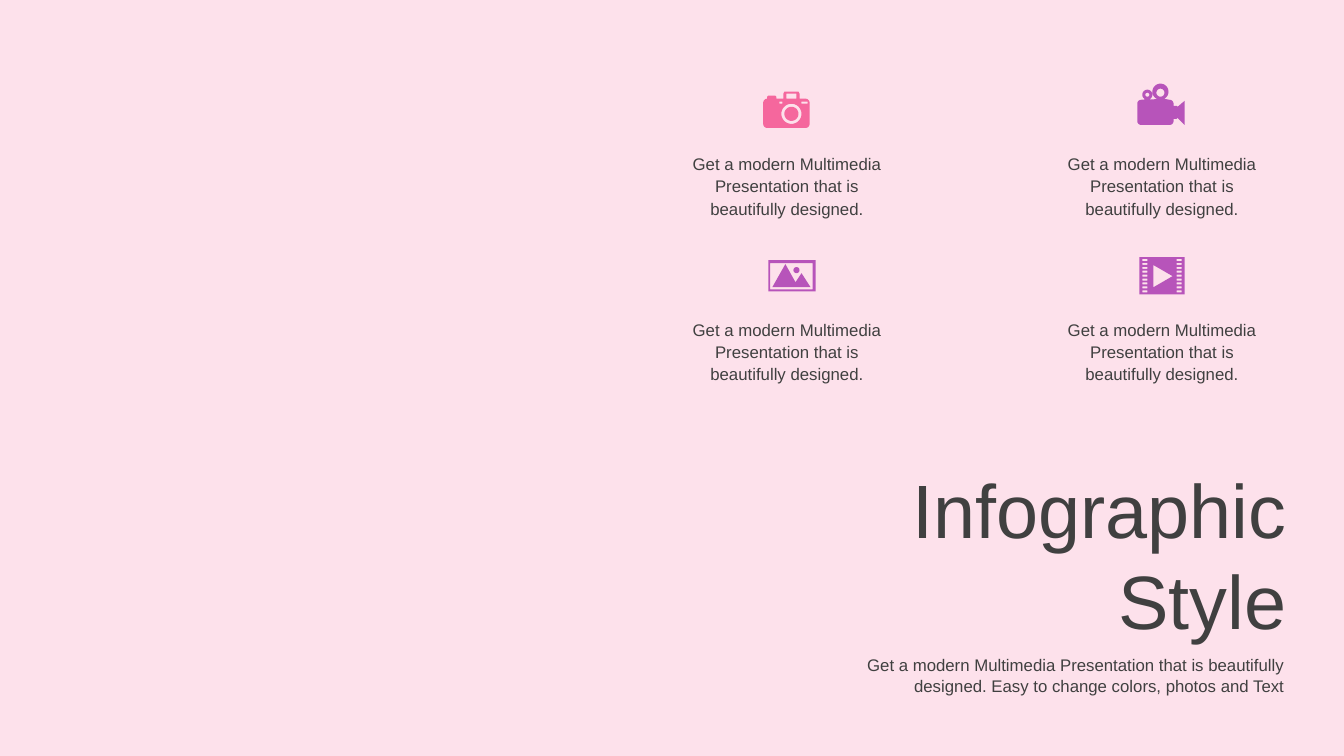
from dataclasses import dataclass
from math import cos, radians, sin

from pptx import Presentation
from pptx.dml.color import RGBColor
from pptx.enum.text import MSO_ANCHOR, MSO_AUTO_SIZE, PP_ALIGN
from pptx.slide import Slide
from pptx.util import Inches, Pt


@dataclass(frozen=True)
class Theme:
    font: str = "Arial"
    paper: str = "FDE1EB"
    ink: str = "404040"
    pink: str = "F5679D"
    purple: str = "B754BA"
    title: int = 54
    body: int = 12


@dataclass
class Painter:
    slide: Slide
    theme: Theme

    def paint(self):
        fill = self.slide.background.fill
        fill.solid()
        fill.fore_color.rgb = RGBColor.from_string(self.theme.paper)

    def text(self, place, words, size, align, anchor=MSO_ANCHOR.TOP, pitch=None):
        frame = self.slide.shapes.add_textbox(*map(Inches, place)).text_frame
        frame.word_wrap = True
        frame.auto_size = MSO_AUTO_SIZE.SHAPE_TO_FIT_TEXT
        frame.vertical_anchor = anchor
        frame.text = words
        for para in frame.paragraphs:
            para.alignment = align
            if pitch:
                para.line_spacing = pitch
            for run in para.runs:
                run.font.name = self.theme.font
                run.font.size = Pt(size)
                run.font.color.rgb = RGBColor.from_string(self.theme.ink)

    def icon(self, rings, color):
        rings = [[(Inches(x), Inches(y)) for x, y in ring] for ring in rings]
        pen = self.slide.shapes.build_freeform(*rings[0][0])
        pen.add_line_segments(rings[0][1:])
        for ring in rings[1:]:
            pen.move_to(*ring[0])
            pen.add_line_segments(ring[1:])
        shape = pen.convert_to_shape()
        shape.shadow.inherit = False
        shape.fill.solid()
        shape.fill.fore_color.rgb = RGBColor.from_string(color)
        shape.line.fill.background()


def arc(x, y, radius, start, end):
    count = max(6, (end - start) // 10)
    turns = [radians(start + (end - start) * i / count) for i in range(count + 1)]
    return [(x + radius * cos(turn), y + radius * sin(turn)) for turn in turns]


def disc(x, y, radius):
    return arc(x, y, radius, 0, 360)


def box(left, top, right, bottom):
    return [(left, top), (right, top), (right, bottom), (left, bottom), (left, top)]


def film():
    holes = [box(x, y, x + 0.05, y + 0.02)
             for x in (11.33, 11.67)
             for y in (2.57 + 0.31 * i / 8 for i in range(9))]
    play = [(11.44, 2.63), (11.44, 2.85), (11.63, 2.74), (11.44, 2.63)]
    return [box(11.3, 2.55, 11.75, 2.92), play, *holes]


def camera():
    case = [
        *arc(7.61, 1.02, 0.04, 180, 270),
        (7.61, 0.96), (7.62, 0.95), (7.69, 0.95), (7.7, 0.96), (7.7, 0.98),
        (7.77, 0.98), (7.77, 0.93), (7.78, 0.91), (7.92, 0.91), (7.93, 0.93),
        (7.93, 0.98),
        *arc(7.99, 1.02, 0.04, 270, 360),
        *arc(7.99, 1.23, 0.04, 0, 90),
        *arc(7.61, 1.23, 0.04, 90, 180),
        (7.57, 1.02),
    ]
    return [case, disc(7.85, 1.13, 0.1), disc(7.85, 1.13, 0.07),
            box(7.73, 1.01, 7.76, 1.03), box(7.95, 1.01, 8.01, 1.03),
            box(7.8, 0.93, 7.9, 0.98)]


def movie():
    case = [
        *arc(11.32, 1.03, 0.04, 180, 270),
        *arc(11.38, 0.94, 0.05, 112, 428),
        *arc(11.51, 0.91, 0.08, 112, 422),
        *arc(11.6, 1.03, 0.04, 270, 360),
        (11.64, 1.05), (11.67, 1.05), (11.68, 1.06), (11.75, 1), (11.75, 1.24),
        (11.68, 1.17), (11.67, 1.18), (11.64, 1.18),
        *arc(11.6, 1.2, 0.04, 0, 90),
        *arc(11.32, 1.2, 0.04, 90, 180),
        (11.28, 1.03),
    ]
    return [case, disc(11.38, 0.94, 0.02), disc(11.51, 0.92, 0.04)]


def photo():
    peaks = [(7.79, 2.62), (7.89, 2.8), (7.95, 2.71), (8.04, 2.85), (7.66, 2.85),
             (7.79, 2.62)]
    return [box(7.62, 2.58, 8.09, 2.89), box(7.64, 2.61, 8.06, 2.87), peaks,
            disc(7.9, 2.68, 0.03)]


def main():
    deck = Presentation()
    deck.slide_width, deck.slide_height = Inches(13.33), Inches(7.5)
    theme = Theme()
    page = Painter(deck.slides.add_slide(deck.slide_layouts[6]), theme)
    page.paint()
    page.text((7.56, 4.53, 5.3, 1.92), "Infographic\nStyle", theme.title,
              PP_ALIGN.RIGHT, MSO_ANCHOR.MIDDLE)
    lead = "Get a modern Multimedia Presentation that is beautifully designed."
    page.text((8.21, 6.45, 4.63, 0.5),
              lead + " Easy to change colors, photos and Text",
              theme.body, PP_ALIGN.RIGHT)
    for top in (1.46, 3.1):
        for left in (6.65, 10.37):
            page.text((left, top, 2.31, 0.77), lead, theme.body,
                      PP_ALIGN.CENTER, pitch=1.1)
    page.icon(film(), theme.purple)
    page.icon(camera(), theme.pink)
    page.icon(movie(), theme.purple)
    page.icon(photo(), theme.purple)
    deck.save("out.pptx")


if __name__ == "__main__":
    main()
